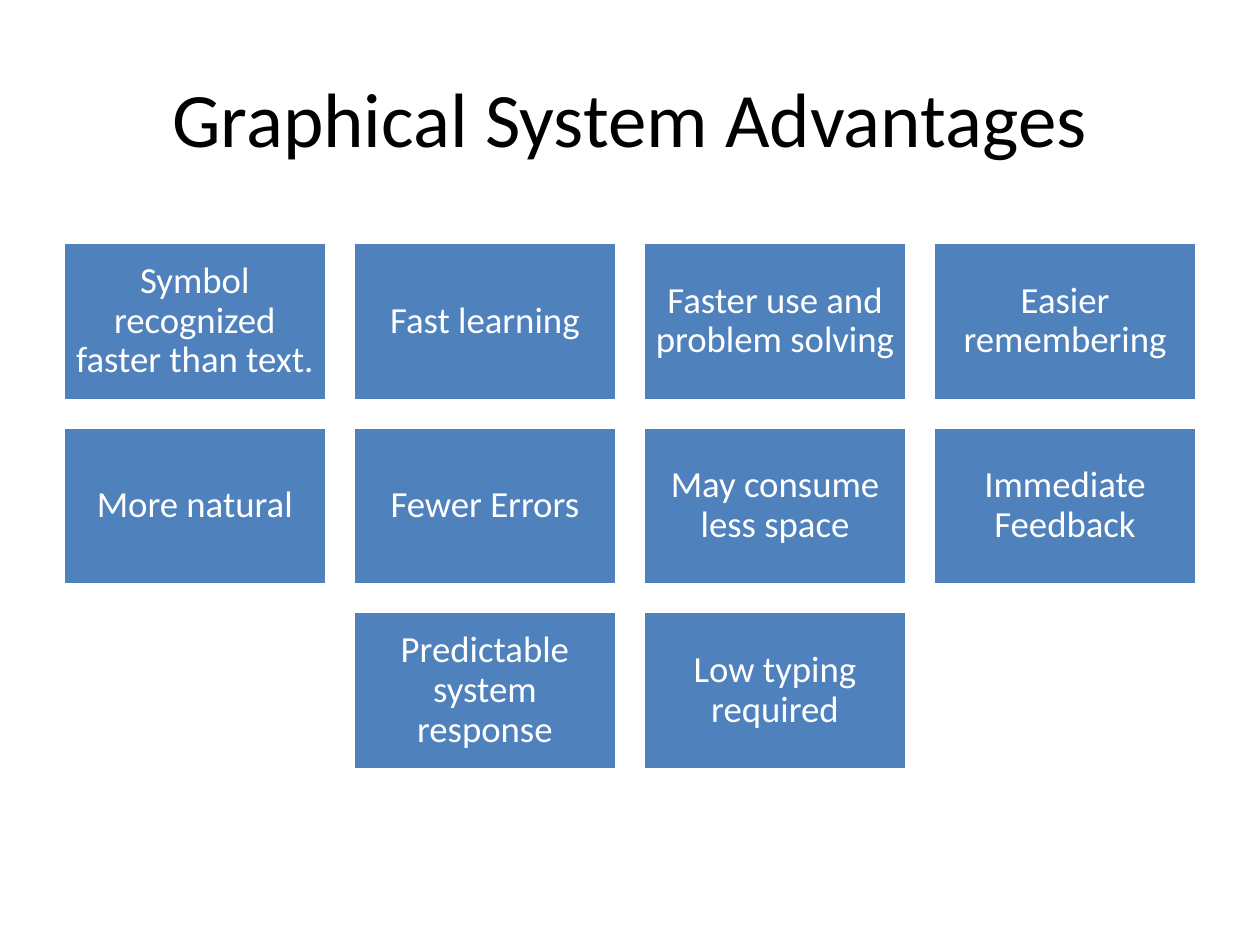
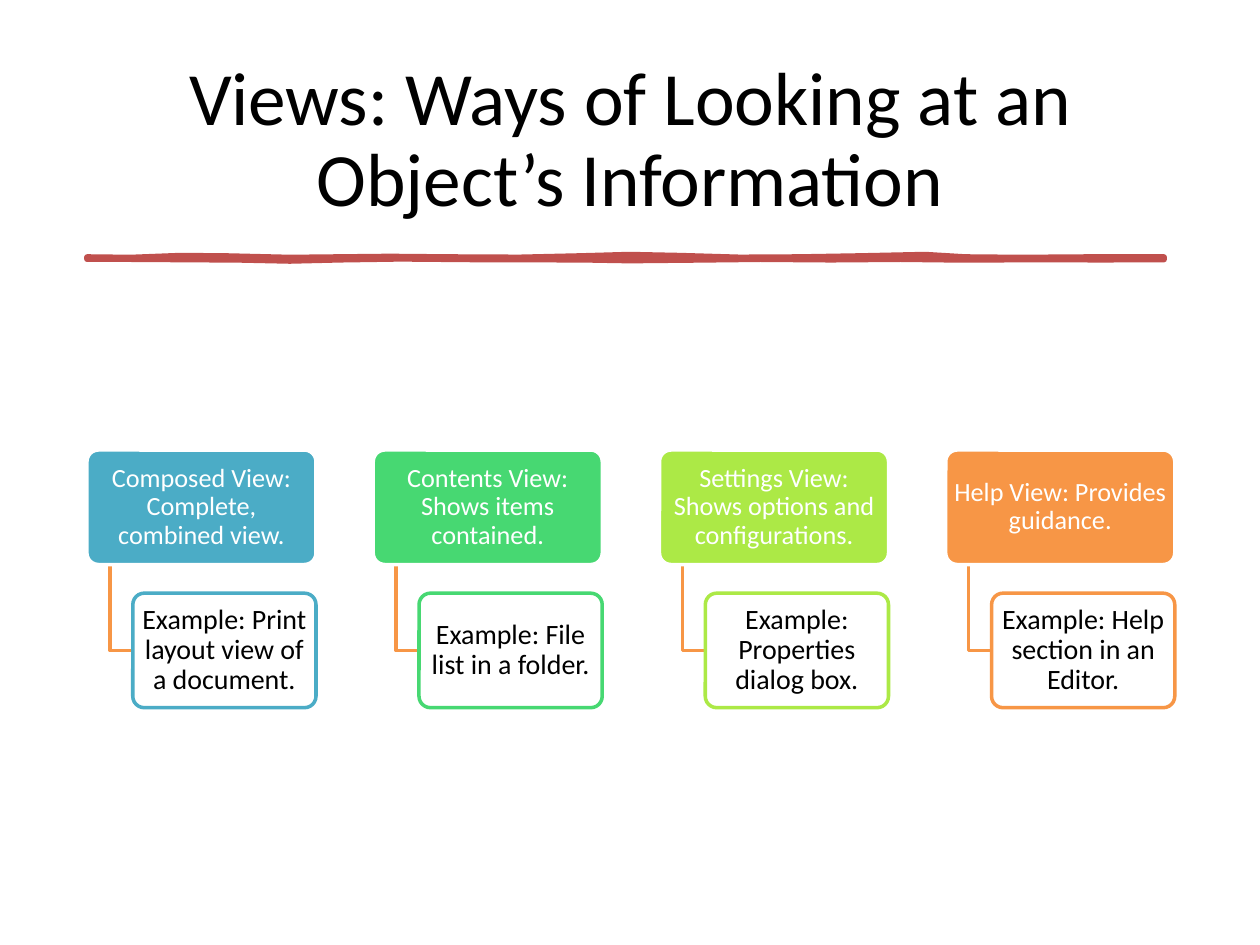
from pptx import Presentation
from pptx.dml.color import RGBColor
from pptx.enum.shapes import MSO_SHAPE as Preset
from pptx.enum.text import MSO_ANCHOR as Anchor, PP_ALIGN as Align
from pptx.oxml.ns import qn
from pptx.util import Pt
from lxml.etree import SubElement

FONT = "Calibri"
WHITE, BLACK, BLUE, RED = "FFFFFF", "000000", "4F81BD", "C0504D"
TEAL, GREEN, LIME, ORANGE = "4BACC6", "47D872", "ACE946", "F79646"

ADVANTAGES = [
    "Symbol recognized faster than text.", "Fast learning",
    "Faster use and problem solving", "Easier remembering",
    "More natural", "Fewer Errors", "May consume less space",
    "Immediate Feedback", "Predictable system response",
    "Low typing required",
]
VIEWS = [
    (TEAL, "Composed View: Complete, combined view.",
     "Example: Print layout view of a document."),
    (GREEN, "Contents View: Shows items contained.",
     "Example: File list in a folder."),
    (LIME, "Settings View: Shows options and configurations.",
     "Example: Properties dialog box."),
    (ORANGE, "Help View: Provides guidance.",
     "Example: Help section in an Editor."),
]
STROKE_TOP = [
    (0, 0), (25, 0.3), (53, -0.8), (79, -0.6), (116, 0.3), (173, -0.3),
    (207, 0), (247, 0.2), (282, -0.6), (310, -1.4), (339, -0.8),
    (373, 0.2), (407, 0), (442, -0.6), (479, -1.4), (502, 0),
    (533, 0.3), (573, 0), (615.5, 0),
]
STROKE_BOTTOM = [
    (615.5, 1.4), (579, 1.5), (545, 1.4), (499, 1.6), (465, 1.2),
    (425, 1.5), (385, 1.2), (350, 1.6), (310, 2), (287, 1.6), (253, 1.4),
    (225, 1.4), (179, 1), (145, 1.5), (116, 2.2), (87, 1.6), (25, 1.2),
    (0, 1.2),
]


def color(value):
    """Turn a hex string into a colour."""
    return RGBColor.from_string(value)


def write(shape, text, size, ink, margins, spacing=None):
    """Write one centred paragraph into a shape."""
    frame = shape.text_frame
    frame.word_wrap = True
    frame.vertical_anchor = Anchor.MIDDLE
    frame.margin_left = frame.margin_right = Pt(margins[0])
    frame.margin_top = frame.margin_bottom = Pt(margins[1])
    para = frame.paragraphs[0]
    para.text = text
    para.alignment = Align.CENTER
    para.line_spacing = spacing
    para.font.name = FONT
    para.font.size = Pt(size)
    para.font.color.rgb = color(ink)


def paint(shape, fill, line, width):
    """Set the fill and line of a shape and drop its shadow."""
    shape.shadow.inherit = False
    if fill:
        shape.fill.solid()
        shape.fill.fore_color.rgb = color(fill)
    else:
        shape.fill.background()
    shape.line.color.rgb = color(line)
    shape.line.width = Pt(width)


def add_title(page, box, text, size, spacing=None):
    """Place a slide title in the box."""
    title = page.shapes.add_textbox(*map(Pt, box))
    write(title, text, size, BLACK, (7.2, 3.6), spacing)


def add_card(page, preset, box, fill, line):
    """Place a filled and outlined card in the box."""
    card = page.shapes.add_shape(preset, *map(Pt, box))
    paint(card, fill, line, 2)
    return card


def add_outline(page, points, close):
    """Draw straight segments through points given in points."""
    corners = [(Pt(x), Pt(y)) for x, y in points]
    builder = page.shapes.build_freeform(*corners[0], scale=1.0)
    builder.add_line_segments(corners[1:], close=close)
    return builder.convert_to_shape()


def add_brush_stroke(page, left, top):
    """Draw the uneven brush stroke under a title."""
    points = [(left + x, top + y) for x, y in STROKE_TOP + STROKE_BOTTOM]
    stroke = add_outline(page, points, True)
    paint(stroke, RED, RED, 3.25)
    SubElement(stroke.line._get_or_add_ln(), qn("a:round"))


def add_card_grid(page, box, labels, columns=4):
    """Lay cards out in rows, centring a short last row."""
    left, top, width = box
    card_width = width / (columns + 0.1 * (columns - 1))
    card_height, gap = 0.6 * card_width, 0.1 * card_width
    for start in range(0, len(labels), columns):
        row = labels[start:start + columns]
        indent = (columns - len(row)) * (card_width + gap) / 2
        y = top + start // columns * (card_height + gap)
        for column, label in enumerate(row):
            x = left + indent + column * (card_width + gap)
            card = add_card(page, Preset.RECTANGLE,
                            (x, y, card_width, card_height), BLUE, WHITE)
            write(card, label, 21, WHITE, (6.3, 6.3), 0.9)


def add_view(page, box, accent, view, example):
    """Place a view card with its example hanging below it."""
    left, top, width, height = box
    bottom, example_top = top + height, top + 1.25 * height
    middle = example_top + height / 2
    example_left = left + 0.2 * width
    stem = left + 0.1 * width
    elbow = add_outline(page, [(stem, bottom), (stem, middle),
                               (example_left, middle)], False)
    paint(elbow, None, ORANGE, 2)
    parts = [
        (box, accent, WHITE, view, 15, WHITE),
        ((example_left, example_top, 0.8 * width, height),
         WHITE, accent, example, 16, BLACK),
    ]
    for place, fill, line, text, size, ink in parts:
        card = add_card(page, Preset.ROUNDED_RECTANGLE, place, fill, line)
        card.adjustments[0] = 0.1
        write(card, text, size, ink, (2.2, 1.6), 0.9)


def add_view_row(page, box):
    """Spread the views evenly across the box."""
    left, top, width = box
    card_width = width / (len(VIEWS) + 0.25 * (len(VIEWS) - 1))
    for index, view in enumerate(VIEWS):
        x = left + index * 1.25 * card_width
        add_view(page, (x, top, card_width, card_width / 2), *view)


def build_advantages(page):
    """Build the slide of advantages."""
    add_title(page, (36, 21.6, 648, 90), "Graphical System Advantages", 44)
    add_card_grid(page, (36, 138.4, 648), ADVANTAGES)


def build_views(page):
    """Build the slide of object views."""
    add_title(page, (49.5, 28.8, 621, 104.4),
              "Views: Ways of Looking at an Object’s Information", 43, 0.9)
    add_brush_stroke(page, 49.7, 146.9)
    add_view_row(page, (49.7, 257.2, 621.6))


def main():
    """Build and save the deck."""
    deck = Presentation()
    deck.slide_width, deck.slide_height = Pt(720), Pt(540)
    for build in (build_advantages, build_views):
        build(deck.slides.add_slide(deck.slide_layouts[6]))
    deck.save("out.pptx")


if __name__ == "__main__":
    main()
